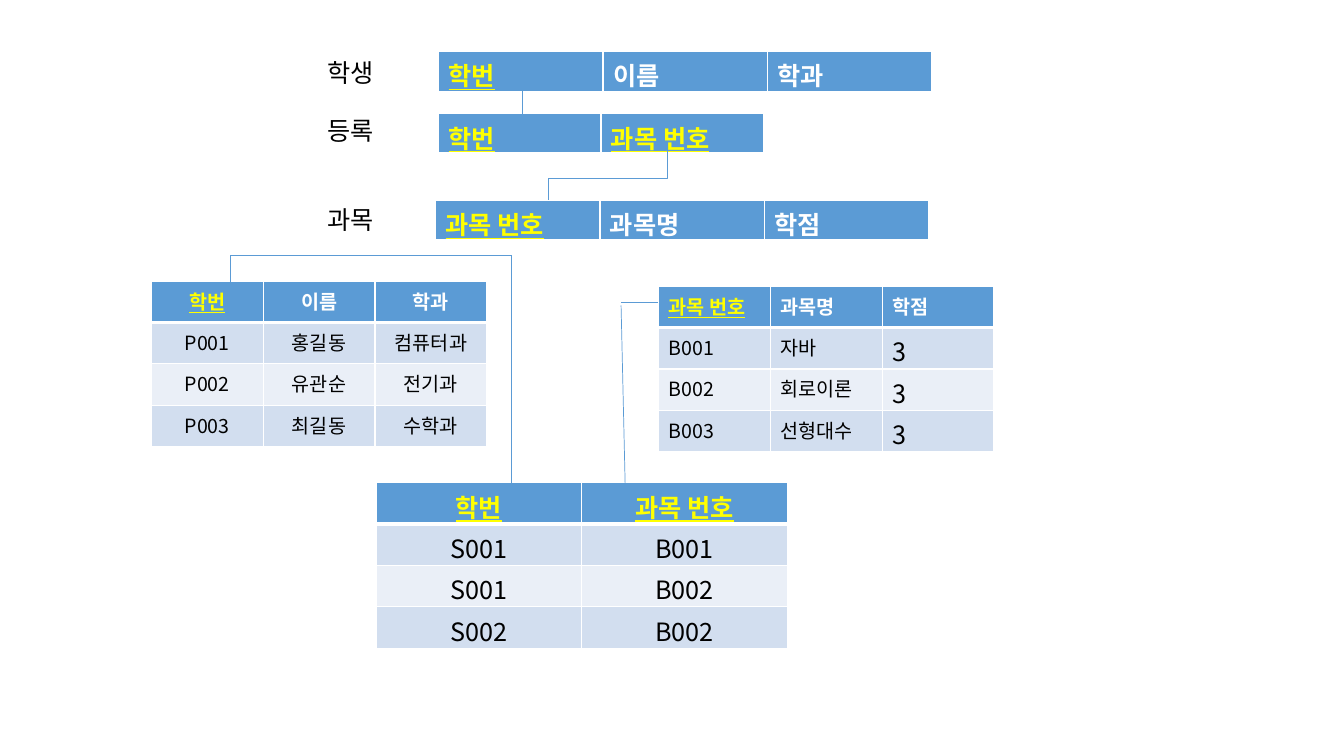
from lxml.etree import SubElement
from pptx import Presentation
from pptx.dml.color import RGBColor
from pptx.enum.shapes import MSO_CONNECTOR as Connector
from pptx.enum.text import PP_ALIGN as Align
from pptx.oxml.ns import qn
from pptx.util import Inches, Pt

FONT = "Noto Sans CJK KR"
BLUE, WHITE, BLACK, KEY_YELLOW = "5B9BD5", "FFFFFF", "000000", "FFFF00"
BANDS = ("D2DEEF", "EAEFF7")


def rgb(hex_color):
    return RGBColor.from_string(hex_color)


def style_text(paragraph, size, color, bold=False, underline=False):
    font = paragraph.font
    font.size, font.bold, font.underline = Pt(size), bold, underline
    font.color.rgb = rgb(color)
    font.name = FONT
    # Korean glyphs take the East Asian typeface
    defaults = paragraph._p.pPr.find(qn("a:defRPr"))
    SubElement(defaults, qn("a:ea"), typeface=FONT)


def add_label(slide, text, top):
    label = slide.shapes.add_textbox(Inches(3.02), Inches(top), Inches(1.07), Inches(0.4))
    frame = label.text_frame
    frame.word_wrap = True
    frame.margin_left = Inches(0.23)
    frame.text = text
    style_text(frame.paragraphs[0], 18, BLACK)


def set_borders(cell, bottom_width):
    properties = cell._tc.get_or_add_tcPr()
    widths = {"a:lnL": 1, "a:lnR": 1, "a:lnT": 1, "a:lnB": bottom_width}
    for index, (side, width) in enumerate(widths.items()):
        border = properties.makeelement(qn(side), {"w": str(Pt(width))})
        fill = SubElement(border, qn("a:solidFill"))
        SubElement(fill, qn("a:srgbClr"), val=WHITE)
        properties.insert(index, border)


def add_relation(slide, left, top, column_width, row_height, rows, keys,
                 size=18, align=Align.LEFT, column_sizes=None):
    """Draw a header row and banded records; keys are the underlined columns."""
    columns = len(rows[0])
    table = slide.shapes.add_table(
        len(rows), columns, Inches(left), Inches(top),
        Inches(column_width * columns), Inches(row_height * len(rows))).table
    for row_index, row in enumerate(rows):
        header = row_index == 0
        for column, text in enumerate(row):
            cell = table.cell(row_index, column)
            cell.text = text
            cell.fill.solid()
            cell.fill.fore_color.rgb = rgb(BLUE if header else BANDS[(row_index - 1) % 2])
            set_borders(cell, 3 if header else 1)
            paragraph = cell.text_frame.paragraphs[0]
            paragraph.alignment = align
            if header:
                is_key = column in keys
                style_text(paragraph, size, KEY_YELLOW if is_key else WHITE, True, is_key)
            else:
                style_text(paragraph, (column_sizes or {}).get(column, size), BLACK)


def add_link(slide, start, end, kind=Connector.STRAIGHT, bend=None):
    link = slide.shapes.add_connector(kind, *map(Inches, start + end))
    link.line.color.rgb = rgb(BLUE)
    link.line.width = Pt(0.5)
    SubElement(link._element.spPr, qn("a:effectLst"))
    if bend is not None:
        geometry = link._element.spPr.find(qn("a:prstGeom"))
        SubElement(geometry.find(qn("a:avLst")), qn("a:gd"),
                   name="adj1", fmla=f"val {bend}")


def main():
    presentation = Presentation()
    presentation.slide_width, presentation.slide_height = Inches(13.33), Inches(7.5)
    slide = presentation.slides.add_slide(presentation.slide_layouts[6])

    # Schemas
    for name, top in (("학생", 0.52), ("등록", 1.09), ("과목", 1.98)):
        add_label(slide, name, top)
    student = ["학번", "이름", "학과"]
    enrolment = ["학번", "과목 번호"]
    course = ["과목 번호", "과목명", "학점"]
    add_relation(slide, 4.35, 0.51, 1.63, 0.41, [student], {0})
    add_relation(slide, 4.35, 1.13, 1.61, 0.37, [enrolment], {0, 1})
    add_relation(slide, 4.32, 1.99, 1.63, 0.37, [course], {0})

    # Links between schemas
    add_link(slide, (5.18, 0.84), (5.18, 1.17))
    add_link(slide, (6.66, 1.49), (5.44, 1.77), Connector.ELBOW, bend=3200)
    add_link(slide, (5.44, 1.77), (5.44, 1.98))

    # Records
    add_relation(slide, 1.5, 2.79, 1.11, 0.41, [
        student,
        ["P001", "홍길동", "컴퓨터과"],
        ["P002", "유관순", "전기과"],
        ["P003", "최길동", "수학과"],
    ], {0}, size=14, align=Align.CENTER)
    add_relation(slide, 3.73, 4.79, 2.04, 0.41, [
        enrolment,
        ["S001", "B001"],
        ["S001", "B002"],
        ["S002", "B002"],
    ], {0, 1}, align=Align.CENTER)
    add_relation(slide, 6.53, 2.84, 1.11, 0.41, [
        course,
        ["B001", "자바", "3"],
        ["B002", "회로이론", "3"],
        ["B003", "선형대수", "3"],
    ], {0}, size=14, column_sizes={2: 18})

    # Links from enrolment records to student and course records
    student_route = [(5.07, 4.79), (5.07, 2.53), (2.28, 2.53), (2.28, 2.88)]
    for start, end in zip(student_route, student_route[1:]):
        add_link(slide, start, end)
    add_link(slide, (6.16, 3.0), (6.53, 3.0))
    add_link(slide, (6.16, 3.03), (6.2, 4.79))

    presentation.save("out.pptx")


if __name__ == "__main__":
    main()
